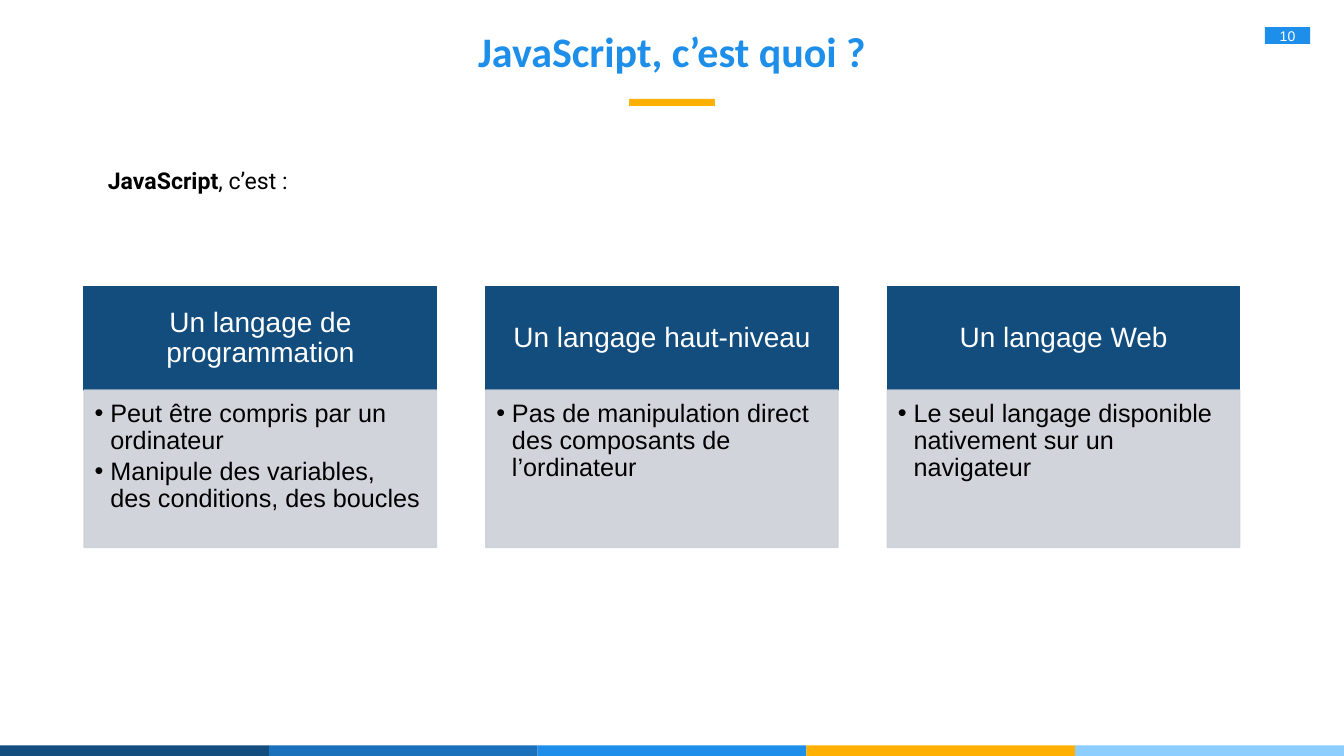
from lxml import etree
from pptx import Presentation, util as u
from pptx.dml.color import RGBColor
from pptx.enum import shapes, text
from pptx.oxml.ns import qn

WIDTH, HEIGHT = 26.67, 15
NAVY, BLUE, AMBER, GREY = "134D7E", "1D8EEA", "FFB000", "CCD0D8"
STRIPES = [NAVY, "1971BB", BLUE, AMBER, "8BCEFF"]
CARDS = [
    ("Un langage de programmation",
     ["Peut être compris par un ordinateur",
      "Manipule des variables, des conditions, des boucles"]),
    ("Un langage haut-niveau",
     ["Pas de manipulation direct des composants de l’ordinateur"]),
    ("Un langage Web",
     ["Le seul langage disponible nativement sur un navigateur"]),
]
CARD_LEFT, CARD_TOP, CARD_WIDTH, CARD_STEP = 1.67, 5.69, 6.99, 7.97
HEAD_HEIGHT, BODY_HEIGHT = 2.05, 3.12


def color(value):
    return RGBColor.from_string(value)


def set_alpha(fill_format, percent):
    """Make a solid fill partly transparent; percent is its opacity."""
    tint = fill_format.fore_color._color._xClr
    etree.SubElement(tint, qn("a:alpha"), val=str(percent * 1000))


def add_bullet(para, indent):
    """Hang the paragraph from a round bullet."""
    props = para._p.get_or_add_pPr()
    props.set("marL", str(u.Inches(indent)))
    props.set("indent", str(-u.Inches(indent)))
    etree.SubElement(props, qn("a:buFont"), typeface="Arial")
    etree.SubElement(props, qn("a:buChar"), char="•")


def write(para, words, size, font="Arial", fill="000000", bold=False):
    span = para.add_run()
    span.text = words
    span.font.size = u.Pt(size)
    span.font.name = font
    span.font.bold = bold
    span.font.color.rgb = color(fill)


class Board:
    """Holds the current slide and the way its elements look."""

    def __init__(self, page):
        self.page = page

    def place(self, left, top, width, height):
        return [u.Inches(value) for value in (left, top, width, height)]

    def frame(self, box, insets, middle=True):
        frame = box.text_frame
        frame.word_wrap = True
        frame.vertical_anchor = text.MSO_ANCHOR.MIDDLE if middle else text.MSO_ANCHOR.TOP
        (frame.margin_left, frame.margin_top,
         frame.margin_right, frame.margin_bottom) = map(u.Inches, insets)
        return frame

    def rectangle(self, area, fill, outlined=False, opacity=100):
        box = self.page.shapes.add_shape(shapes.MSO_SHAPE.RECTANGLE, *self.place(*area))
        box.shadow.inherit = False
        paints = [box.fill]
        if outlined:
            box.line.width = u.Pt(2)
            paints.append(box.line.fill)
        else:
            box.line.fill.background()
        for paint in paints:
            paint.solid()
            paint.fore_color.rgb = color(fill)
            if opacity < 100:
                set_alpha(paint, opacity)
        return box

    def label(self, box, words, insets=(0, 0, 0, 0), **style):
        para = self.frame(box, insets).paragraphs[0]
        para.alignment = text.PP_ALIGN.CENTER
        write(para, words, **style)
        return para

    def text_box(self, area):
        return self.page.shapes.add_textbox(*self.place(*area))

    def bullets(self, box, items):
        frame = self.frame(box, (0.21, 0.21, 0.28, 0.32), middle=False)
        for index, item in enumerate(items):
            para = frame.add_paragraph() if index else frame.paragraphs[0]
            para.alignment = text.PP_ALIGN.LEFT
            para.line_spacing = 0.9
            para.space_after = u.Pt(5.4)
            add_bullet(para, 0.31)
            write(para, item, 36)

    def card(self, column, heading, items):
        left = CARD_LEFT + column * CARD_STEP
        head = self.rectangle((left, CARD_TOP, CARD_WIDTH, HEAD_HEIGHT), NAVY, outlined=True)
        para = self.label(head, heading, (0.31, 0.18, 0.31, 0.18), size=40, fill="FFFFFF")
        para.line_spacing = 0.9
        body = self.rectangle((left, CARD_TOP + HEAD_HEIGHT, CARD_WIDTH, BODY_HEIGHT),
                              GREY, outlined=True, opacity=90)
        self.bullets(body, items)


def main():
    deck = Presentation()
    deck.slide_width, deck.slide_height = u.Inches(WIDTH), u.Inches(HEIGHT)
    board = Board(deck.slides.add_slide(deck.slide_layouts[6]))

    stripe = WIDTH / len(STRIPES)
    for index, fill in enumerate(STRIPES):
        board.rectangle((index * stripe, HEIGHT - 0.21, stripe, 0.21), fill)
    board.rectangle(((WIDTH - 1.7) / 2, 1.96, 1.7, 0.14), AMBER)

    number = board.rectangle((25.1, 0.54, 0.9, 0.33), BLUE)
    board.label(number, "10", size=20, fill="FFFFFF")
    title = board.text_box((0, 0, WIDTH, 2.03))
    board.label(title, "JavaScript, c’est quoi ?", (0.1, 0.05, 0.1, 0.05),
                size=60, font="Calibri", fill=BLUE, bold=True)

    intro = board.text_box((1.67, 3.06, 4.88, 1.03))
    para = board.frame(intro, (0.47, 0.24, 0.47, 0.24)).paragraphs[0]
    write(para, "JavaScript", 33, "Roboto", bold=True)
    write(para, ", c’est :", 33, "Roboto")

    for column, (heading, items) in enumerate(CARDS):
        board.card(column, heading, items)
    deck.save("out.pptx")


if __name__ == "__main__":
    main()
